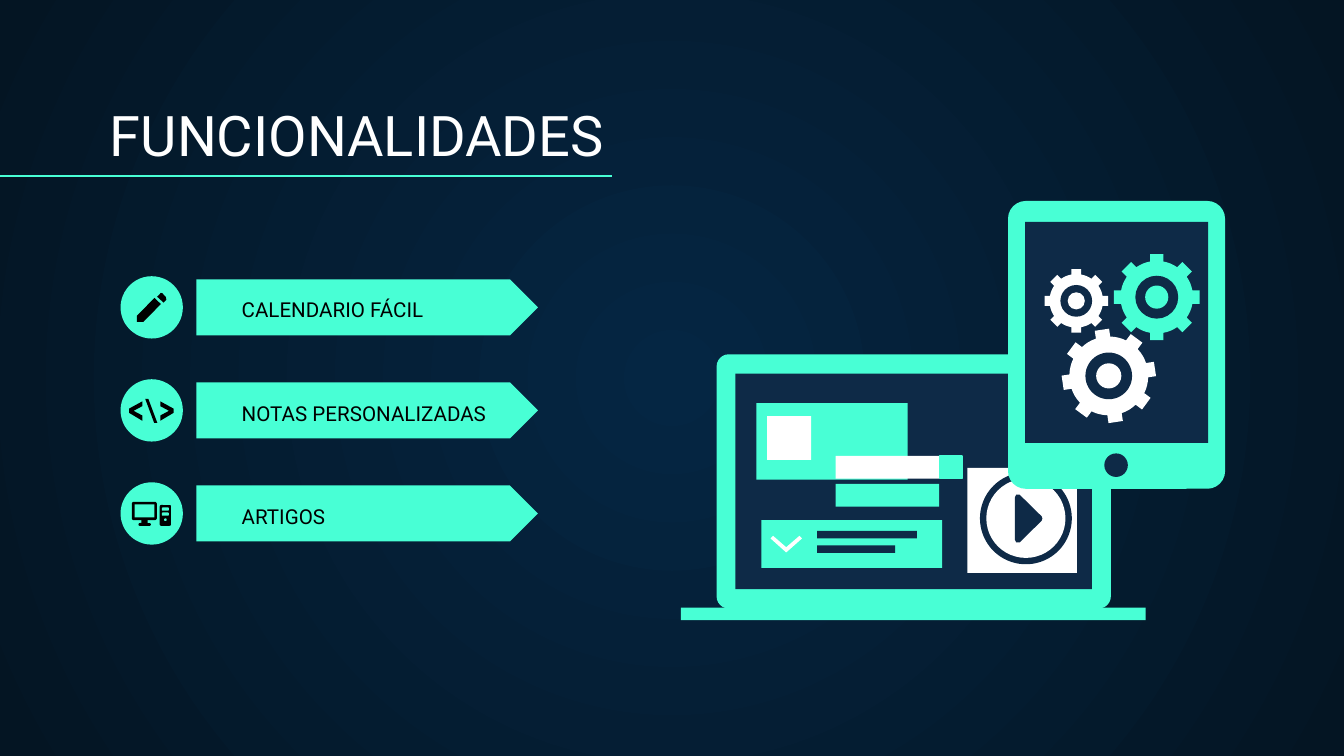
from math import cos, radians, sin

from lxml.etree import SubElement
from pptx import Presentation
from pptx.dml.color import RGBColor
from pptx.enum.shapes import MSO_CONNECTOR, MSO_SHAPE
from pptx.enum.text import MSO_ANCHOR
from pptx.oxml.ns import qn
from pptx.util import Pt

MINT = RGBColor(0x48, 0xFF, 0xD5)
NAVY = RGBColor(0x0E, 0x2A, 0x47)
WHITE = RGBColor(0xFF, 0xFF, 0xFF)
BLACK = RGBColor(0, 0, 0)
GLOW = RGBColor(0x05, 0x26, 0x43)
DUSK = RGBColor(0x04, 0x15, 0x23)


class Deck:
    font = "Roboto"

    def __init__(self, slide):
        self.slide = slide
        self.shapes = slide.shapes

    def back(self, inner, outer):
        fill = self.slide.background.fill
        fill.gradient()
        for stop, tone in zip(fill.gradient_stops, (inner, outer)):
            stop.color.rgb = tone
        grad = self.slide.element.find(".//" + qn("a:gradFill"))
        grad.remove(grad.find(qn("a:lin")))
        ring = SubElement(grad, qn("a:path"), path="circle")
        SubElement(ring, qn("a:fillToRect"), l="50000", t="50000", r="50000", b="50000")

    def paint(self, shape, tone):
        shape.shadow.inherit = False
        shape.fill.solid()
        shape.fill.fore_color.rgb = tone
        shape.line.fill.background()
        return shape

    def form(self, kind, x, y, w, h, tone):
        shape = self.shapes.add_shape(kind, Pt(x), Pt(y), Pt(w), Pt(h))
        return self.paint(shape, tone)

    def rect(self, x, y, w, h, tone, curve=0):
        kind = MSO_SHAPE.ROUNDED_RECTANGLE if curve else MSO_SHAPE.RECTANGLE
        shape = self.form(kind, x, y, w, h, tone)
        if curve:
            shape.adjustments[0] = curve / min(w, h)
        return shape

    def disc(self, x, y, size, tone):
        """Circle given by its centre and radius."""
        self.form(MSO_SHAPE.OVAL, x - size, y - size, 2 * size, 2 * size, tone)

    def poly(self, dots, tone):
        first, *rest = [(Pt(x), Pt(y)) for x, y in dots]
        pen = self.shapes.build_freeform(*first)
        pen.add_line_segments(rest, close=True)
        self.paint(pen.convert_to_shape(), tone)

    def gear(self, x, y, size, tone, turn=0):
        """Wheel with eight square teeth, a navy ring and a hub."""
        half, root = 0.155 * size, 0.83 * size
        dots = []
        for step in range(8):
            a = radians(45 * step + turn)
            tooth = [(-half, -root), (-half, -size), (half, -size), (half, -root)]
            dots += [(x + u * cos(a) - v * sin(a), y + u * sin(a) + v * cos(a))
                     for u, v in tooth]
            for part in (17, 22.5, 28):  # round off the rim between teeth
                b = a + radians(part)
                dots.append((x + 0.845 * size * sin(b), y - 0.845 * size * cos(b)))
        self.poly(dots, tone)
        self.disc(x, y, 0.5 * size, NAVY)
        self.disc(x, y, 0.27 * size, tone)

    def line(self, x1, y1, x2, y2, tone):
        line = self.shapes.add_connector(
            MSO_CONNECTOR.STRAIGHT, Pt(x1), Pt(y1), Pt(x2), Pt(y2))
        line.line.color.rgb = tone
        line.line.width = Pt(0.75)
        SubElement(line._element.spPr, qn("a:effectLst"))

    def text(self, words, x, y, w, h, size, tone):
        frame = self.shapes.add_textbox(Pt(x), Pt(y), Pt(w), Pt(h)).text_frame
        frame.word_wrap = True
        frame.vertical_anchor = MSO_ANCHOR.BOTTOM
        frame.margin_left = frame.margin_right = Pt(7.2)
        frame.margin_top = frame.margin_bottom = Pt(7.2)
        para = frame.paragraphs[0]
        para.text = words
        para.font.name = self.font
        para.font.size = Pt(size)
        para.font.color.rgb = tone


show = Presentation()
show.slide_width, show.slide_height = Pt(720), Pt(405)
deck = Deck(show.slides.add_slide(show.slide_layouts[6]))
deck.back(GLOW, DUSK)

# Title
deck.text("FUNCIONALIDADES", 51.8, 49.7, 305.3, 47.5, 30, WHITE)
deck.line(0, 94.3, 327.6, 94.3, MINT)

# Feature rows
for row, words in enumerate(["CALENDARIO FÁCIL", "NOTAS PERSONALIZADAS", "ARTIGOS"]):
    mid = 164.7 + 55.2 * row
    deck.form(MSO_SHAPE.PENTAGON, 105.2, mid - 15, 183, 30, MINT)
    deck.text(words, 122.4, mid - 0.6, 163.4, 15.1, 11, BLACK)
    deck.disc(81.3, mid, 16.7, MINT)

# Pencil icon
deck.poly([(82.8, 159.6), (73.4, 169.2), (73.4, 172.5), (76.8, 172.5),
           (86.2, 162.9)], BLACK)
deck.poly([(86.2, 156.9), (84.2, 159), (87.6, 162.1), (89.1, 160.6),
           (88.9, 159.2), (87, 157.1)], BLACK)

# Code icon
angle = [(76.3, 225.4), (69.2, 221.2), (69.2, 218.9), (76.3, 215),
         (76.3, 217.6), (71.6, 220.1), (76.3, 222.6)]
deck.poly(angle, BLACK)
deck.poly([(162.2 - x, y) for x, y in angle], BLACK)
deck.poly([(82.6, 226.6), (77.8, 213.7), (79.5, 213.7), (84.3, 226.6)], BLACK)

# Computer icon
deck.rect(70.6, 268.8, 13.5, 9.9, BLACK, 1.2)
deck.rect(72.1, 270.2, 10.6, 7, MINT)
deck.rect(75.7, 278.6, 3.4, 1.8, BLACK)
deck.rect(74.2, 280.2, 6.6, 1.5, BLACK, 0.7)
deck.rect(85.6, 270.6, 6, 11.1, BLACK, 0.7)
for top in (271.9, 274.6):
    deck.rect(86.7, top, 3.8, 1.7, MINT, 0.5)
deck.disc(88.6, 278.4, 0.7, MINT)

# Laptop
deck.rect(383.9, 189.8, 211.2, 136.2, MINT, 6.5)
deck.rect(394, 200.2, 191, 115.4, NAVY)
deck.rect(364.8, 325.6, 249, 6.6, MINT)

# Windows on the laptop screen
deck.rect(405.2, 216, 81, 41, MINT)
deck.rect(411, 222.9, 23.5, 23.5, WHITE)
deck.rect(407.9, 278.6, 96.8, 25.7, MINT)
for top, wide in ((284.4, 53.4), (292.2, 41.8)):
    deck.rect(437.8, top, wide, 4, NAVY)
deck.poly([(414.2, 287.1), (421.2, 293.2), (428.3, 287.1), (429.7, 288.5),
           (421.2, 296), (412.8, 288.5)], WHITE)
deck.rect(447.6, 259.2, 55.6, 12.3, MINT)
deck.rect(447.6, 244.2, 55.6, 12.3, WHITE)
tab = deck.rect(503.2, 244.2, 12.1, 12.1, MINT)
tab.line.color.rgb = MINT
tab.line.width = Pt(0.75)

# Play button
deck.rect(518.2, 250.7, 58.7, 56.2, WHITE)
deck.disc(549.6, 277.7, 24.6, NAVY)
deck.disc(549.6, 277.7, 21.2, WHITE)
deck.poly([(543.7, 266.5), (544.4, 265), (546.2, 265), (558, 276.6), (558.4, 277.8),
           (558, 279), (546.2, 290.6), (544.4, 290.6), (543.7, 289.1)], NAVY)

# Tablet with gears
deck.rect(540, 107.7, 116.3, 154.2, MINT, 9.5)
deck.rect(549.2, 118.9, 98, 118.4, NAVY)
deck.disc(597.9, 249.2, 6.3, NAVY)
deck.gear(619.7, 159.2, 23, MINT)
deck.gear(576.6, 161.2, 17, WHITE)
deck.gear(594, 201.4, 25, WHITE, -8.5)

show.save("out.pptx")
